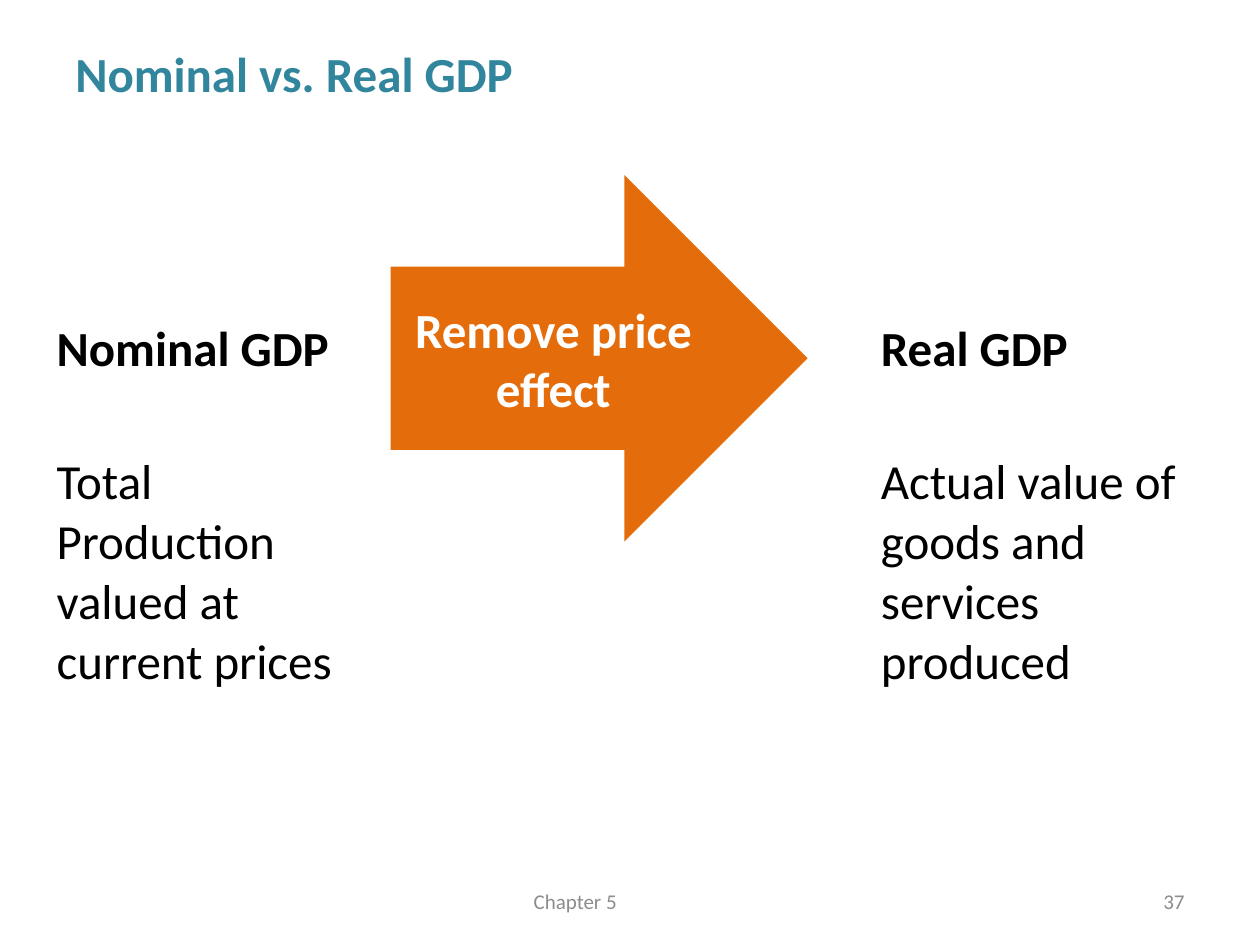
import pptx
import pptx.dml.color
import pptx.enum.shapes
import pptx.enum.text
import pptx.util

Pt = pptx.util.Pt
ALIGN = pptx.enum.text.PP_ALIGN
ANCHOR = pptx.enum.text.MSO_ANCHOR
TEAL = pptx.dml.color.RGBColor(0x31, 0x85, 0x9C)
GRAY = pptx.dml.color.RGBColor(0x8C, 0x8C, 0x8C)
BLACK = pptx.dml.color.RGBColor(0, 0, 0)
WHITE = pptx.dml.color.RGBColor(255, 255, 255)
ORANGE = pptx.dml.color.RGBColor(0xE4, 0x6C, 0x0A)


class SlideBuilder:
    font_name = "Calibri"

    def __init__(self, slide):
        self.slide = slide

    def add_words(self, frame, text, color, size=28, bold=False, align=ALIGN.LEFT):
        paragraph = frame.paragraphs[0]
        paragraph.alignment = align
        run = paragraph.add_run()
        run.text = text
        formats = {"name": self.font_name, "size": Pt(size), "bold": bold}
        for key, value in formats.items():
            setattr(run.font, key, value)
        run.font.color.rgb = color

    def add_text(self, box, text, color, anchor=ANCHOR.TOP, **style):
        frame = self.slide.shapes.add_textbox(*map(Pt, box)).text_frame
        frame.word_wrap = True
        frame.vertical_anchor = anchor
        self.add_words(frame, text, color, **style)

    def add_arrow(self, box, text, fill):
        kind = pptx.enum.shapes.MSO_SHAPE.RIGHT_ARROW
        arrow = self.slide.shapes.add_shape(kind, *map(Pt, box))
        arrow.shadow.inherit = False
        arrow.fill.solid()
        arrow.fill.fore_color.rgb = fill
        arrow.line.fill.background()
        arrow.text_frame.word_wrap = True
        arrow.text_frame.vertical_anchor = ANCHOR.MIDDLE
        self.add_words(arrow.text_frame, text, WHITE, bold=True, align=ALIGN.CENTER)

    def add_table(self, left, top, widths, heights, rows):
        box = (left, top, sum(widths), sum(heights))
        table = self.slide.shapes.add_table(
            len(heights), len(widths), *map(Pt, box)).table
        for flag in ("first_row", "horz_banding"):
            setattr(table, flag, False)
        for column, width in zip(table.columns, widths):
            column.width = Pt(width)
        for row, height in zip(table.rows, heights):
            row.height = Pt(height)
        for cell in table.iter_cells():
            cell.fill.background()
        for r, texts in enumerate(rows):
            for c, text in texts.items():
                self.add_words(table.cell(r, c).text_frame, text, BLACK, bold=r == 0)


def main():
    deck = pptx.Presentation()
    deck.slide_width, deck.slide_height = Pt(720), Pt(540)
    builder = SlideBuilder(deck.slides.add_slide(deck.slide_layouts[6]))

    builder.add_text((36, 21.6, 648, 67), "Nominal vs. Real GDP", TEAL, bold=True)
    footer = {"size": 12, "anchor": ANCHOR.MIDDLE}
    builder.add_text((154.8, 500.4, 347.8, 28.8), "Chapter 5", GRAY,
                     align=ALIGN.CENTER, **footer)
    builder.add_text((516, 500.4, 168, 28.8), "37", GRAY,
                     align=ALIGN.RIGHT, **footer)
    builder.add_table(25.2, 179.3, (188, 139, 144, 188), (76, 140), [
        {0: "Nominal GDP", 3: "Real GDP"},
        {0: "Total Production valued at current prices",
         3: "Actual value of goods and services produced"},
    ])
    builder.add_arrow((223.2, 100, 238.3, 209.5), "Remove price effect", ORANGE)

    deck.save("out.pptx")


if __name__ == "__main__":
    main()
